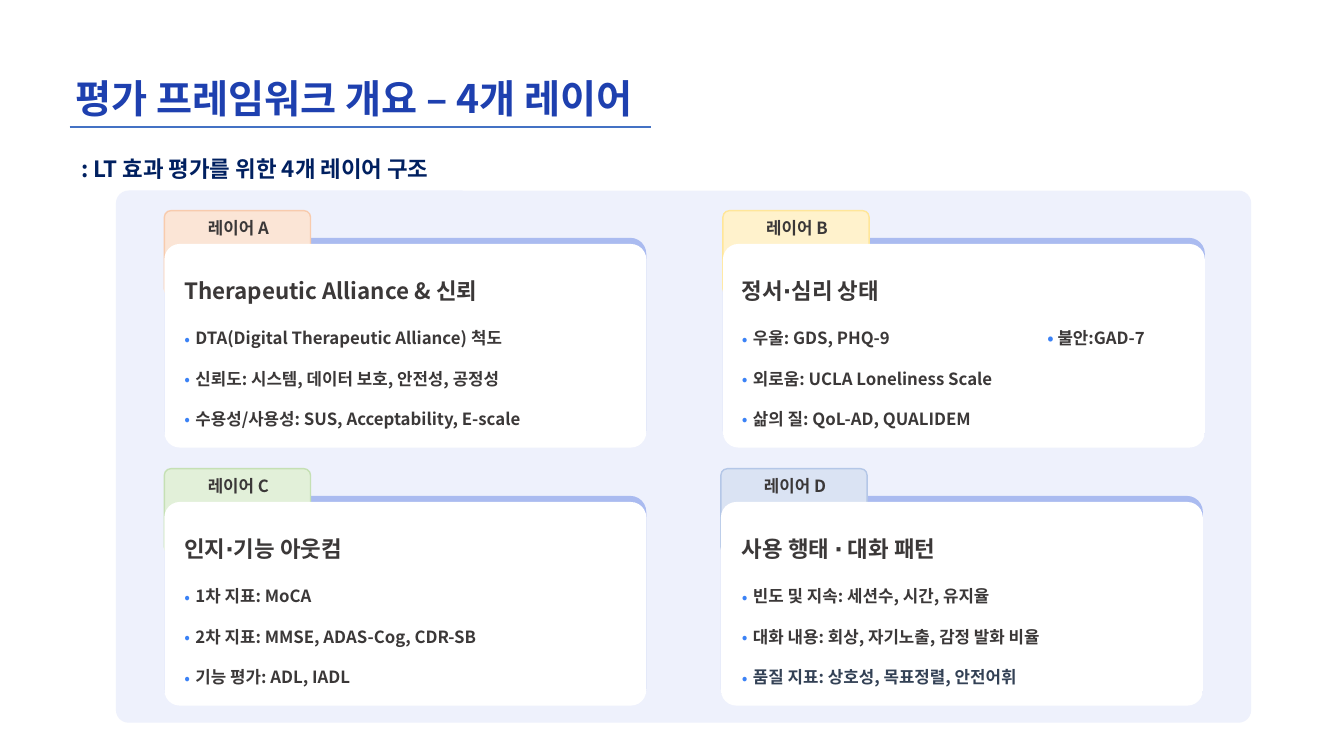
import pptx
import pptx.dml.color
import pptx.enum.shapes
import pptx.enum.text
import pptx.oxml.ns
import pptx.util
from lxml import etree

Inches = pptx.util.Inches
Pt = pptx.util.Pt
RGBColor = pptx.dml.color.RGBColor
MSO_SHAPE = pptx.enum.shapes.MSO_SHAPE
PP_ALIGN = pptx.enum.text.PP_ALIGN
qn = pptx.oxml.ns.qn

# Content
TITLE = "평가 프레임워크 개요 – 4개 레이어"
SUBTITLE = ": LT 효과 평가를 위한 4개 레이어 구조"

FONT = "Noto Sans CJK KR"
TITLE_BLUE = RGBColor(0x1E, 0x40, 0xAF)
NAVY = RGBColor(0x00, 0x20, 0x60)
RULE_BLUE = RGBColor(0x44, 0x72, 0xC4)
BACKDROP = RGBColor(0xEE, 0xF1, 0xFC)
BAND = RGBColor(0xAA, 0xBB, 0xF0)
WHITE = RGBColor(0xFF, 0xFF, 0xFF)
INK = RGBColor(0x3B, 0x38, 0x38)
SLATE = RGBColor(0x33, 0x41, 0x55)
BULLET = RGBColor(0x3B, 0x82, 0xF6)

# A bullet is a list of (text, colour) pieces
LAYERS = [
    {"label": "레이어 A", "heading": "Therapeutic Alliance & 신뢰",
     "left": 1.63, "top": 2.09, "body_left": 1.73,
     "tab": RGBColor(0xFB, 0xE5, 0xD6), "edge": RGBColor(0xF8, 0xCB, 0xAD),
     "bullets": [[("DTA(Digital Therapeutic Alliance) 척도", INK)],
                 [("신뢰도: 시스템, 데이터 보호, 안전성, 공정성", INK)],
                 [("수용성/사용성: SUS, Acceptability, E-scale", INK)]]},
    {"label": "레이어 B", "heading": "정서∙심리 상태",
     "left": 7.17, "top": 2.09, "body_left": 7.26,
     "tab": RGBColor(0xFF, 0xF2, 0xCC), "edge": RGBColor(0xFF, 0xE6, 0x99),
     "bullets": [[("우울: GDS, PHQ-9\t", INK), ("• ", BULLET), ("불안:GAD-7", INK)],
                 [("외로움: UCLA Loneliness Scale", INK)],
                 [("삶의 질: QoL-AD, QUALIDEM", INK)]]},
    {"label": "레이어 C", "heading": "인지∙기능 아웃컴",
     "left": 1.63, "top": 4.65, "body_left": 1.73,
     "tab": RGBColor(0xE2, 0xF0, 0xD9), "edge": RGBColor(0xC5, 0xE0, 0xB4),
     "bullets": [[("1차 지표: MoCA", INK)],
                 [("2차 지표: MMSE, ADAS-Cog, CDR-SB", INK)],
                 [("기능 평가: ADL, IADL", INK)]]},
    {"label": "레이어 D", "heading": "사용 행태 ∙ 대화 패턴",
     "left": 7.15, "top": 4.65, "body_left": 7.26,
     "tab": RGBColor(0xDA, 0xE3, 0xF3), "edge": RGBColor(0xB4, 0xC7, 0xE7),
     "bullets": [[("빈도 및 지속: 세션수, 시간, 유지율", INK)],
                 [("대화 내용: 회상, 자기노출, 감정 발화 비율", INK)],
                 [("품질 지표: 상호성, 목표정렬, 안전어휘", SLATE)]]},
]

# Card geometry, in inches
CARD_WIDTH = 4.78
BAND_DROP, PANEL_DROP, BODY_DROP = 0.27, 0.33, 0.34
BULLET_INDENT = 0.11
SECOND_COLUMN = 3.03

presentation = pptx.Presentation()
presentation.slide_width = Inches(13.33)
presentation.slide_height = Inches(7.5)
slide = presentation.slides.add_slide(presentation.slide_layouts[6])


def add_frame(left, top, width, height):
    frame = slide.shapes.add_textbox(
        Inches(left), Inches(top), Inches(width), Inches(height)).text_frame
    frame.word_wrap = True
    frame.auto_size = pptx.enum.text.MSO_AUTO_SIZE.SHAPE_TO_FIT_TEXT
    return frame


def add_run(paragraph, text, size=12, color=INK):
    run = paragraph.add_run()
    run.text = text
    run.font.size = Pt(size)
    run.font.bold = True
    run.font.name = FONT
    run.font.color.rgb = color
    east_asian = etree.SubElement(run.font._element, qn("a:ea"))
    east_asian.set("typeface", FONT)


def add_bullet(paragraph):
    properties = paragraph._p.get_or_add_pPr()
    properties.set("marL", str(Inches(BULLET_INDENT)))
    properties.set("indent", str(-Inches(BULLET_INDENT)))
    color = etree.SubElement(properties, qn("a:buClr"))
    etree.SubElement(color, qn("a:srgbClr")).set("val", str(BULLET))
    etree.SubElement(properties, qn("a:buFont")).set("typeface", FONT)
    etree.SubElement(properties, qn("a:buChar")).set("char", "•")
    tabs = etree.SubElement(properties, qn("a:tabLst"))
    stop = etree.SubElement(tabs, qn("a:tab"))
    stop.set("pos", str(Inches(SECOND_COLUMN)))
    stop.set("algn", "l")


def write(frame, text, first=True, bullet=False, size=12, color=INK,
          align=None, spacing=None, before=None):
    """Add a paragraph; text is a string or a list of (text, colour)."""
    paragraph = frame.paragraphs[0] if first else frame.add_paragraph()
    if align is not None:
        paragraph.alignment = align
    if spacing:
        paragraph.line_spacing = spacing
    if before:
        paragraph.space_before = Pt(before)
    if bullet:
        add_bullet(paragraph)
    pieces = [(text, color)] if isinstance(text, str) else text
    for piece, piece_color in pieces:
        add_run(paragraph, piece, size, piece_color)


def add_rounded(left, top, width, height, fill, corner=0.076, edge=None):
    shape = slide.shapes.add_shape(
        MSO_SHAPE.ROUNDED_RECTANGLE,
        Inches(left), Inches(top), Inches(width), Inches(height))
    shape.adjustments[0] = corner
    shape.shadow.inherit = False
    shape.fill.solid()
    shape.fill.fore_color.rgb = fill
    if edge is None:
        shape.line.fill.background()
    else:
        shape.line.color.rgb = edge
        shape.line.width = Pt(1)


# Title, rule and subtitle
write(add_frame(0.65, 0.69, 6.65, 0.57), TITLE, size=28, color=TITLE_BLUE)
rule = slide.shapes.add_connector(
    pptx.enum.shapes.MSO_CONNECTOR.STRAIGHT,
    Inches(0.69), Inches(1.26), Inches(6.46), Inches(1.26))
rule.line.color.rgb = RULE_BLUE
rule.line.width = Pt(1.5)
etree.SubElement(rule._element.spPr, qn("a:effectLst"))
write(add_frame(0.71, 1.36, 5.75, 0.46), SUBTITLE, size=16, color=NAVY, spacing=1.5)

# Backdrop and layer cards
add_rounded(1.15, 1.89, 11.26, 5.28, BACKDROP, corner=0.024)
for layer in LAYERS:
    left, top = layer["left"], layer["top"]
    add_rounded(left, top + BAND_DROP, CARD_WIDTH, 2.07, BAND)
    add_rounded(left, top, 1.45, 0.84, layer["tab"], edge=layer["edge"])
    add_rounded(left, top + PANEL_DROP, CARD_WIDTH, 2.02, WHITE)
    write(add_frame(left + 0.1, top + 0.02, 1.27, 0.3), layer["label"],
          align=PP_ALIGN.CENTER)

    body = add_frame(layer["body_left"], top + BODY_DROP, CARD_WIDTH, 1.86)
    write(body, layer["heading"], size=16, spacing=2.0)
    for number, bullet in enumerate(layer["bullets"]):
        write(body, bullet, first=False, bullet=True, spacing=2.0,
              before=3 if number == 0 else 0)

presentation.save("out.pptx")
